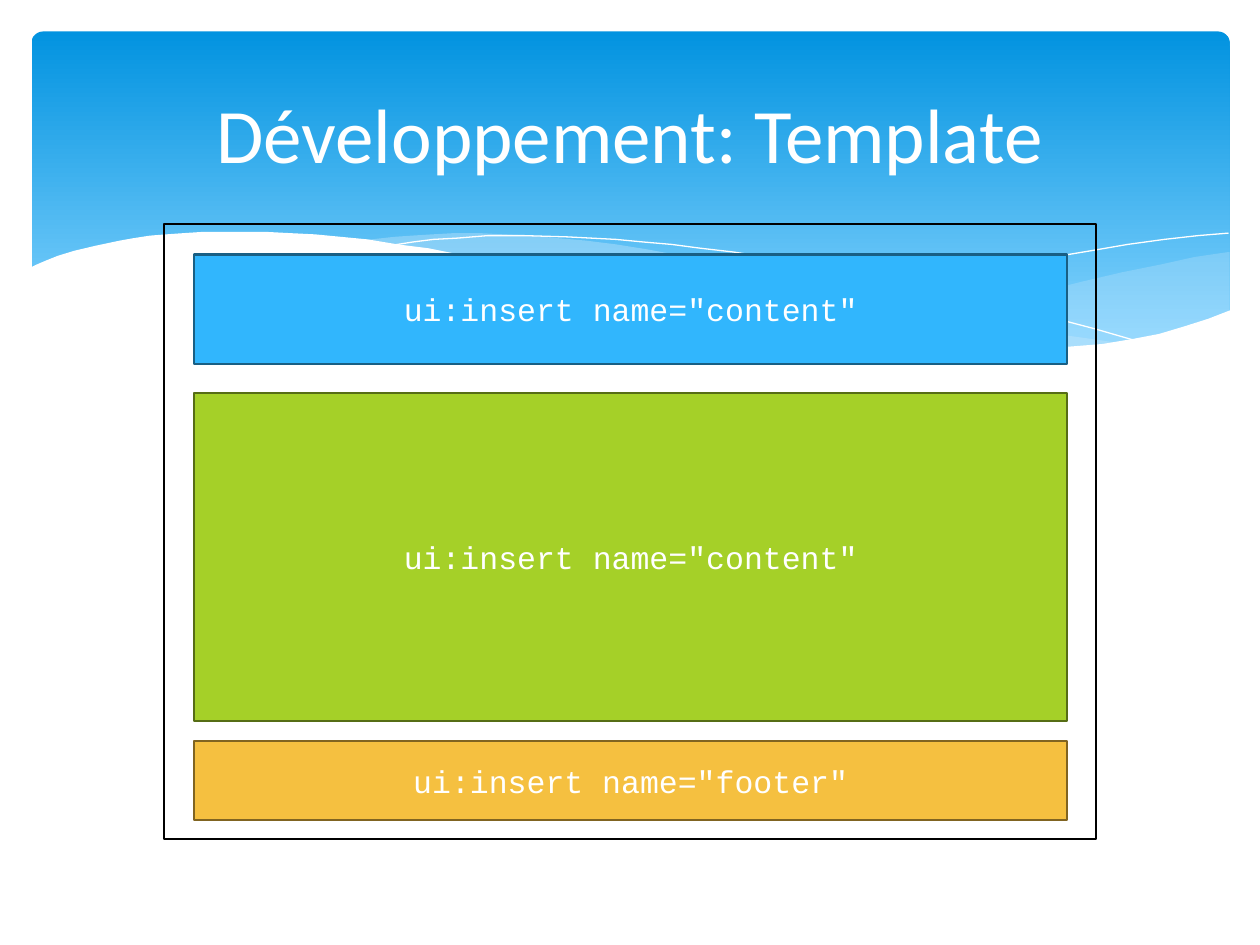
from lxml.etree import SubElement
from pptx import Presentation
from pptx.dml.color import RGBColor
from pptx.enum.shapes import MSO_SHAPE as Shape
from pptx.enum.text import MSO_ANCHOR as Anchor, PP_ALIGN as Align
from pptx.oxml.ns import qn
from pptx.util import Emu, Pt

SCALE = 9144
WHITE = RGBColor(0xFF, 0xFF, 0xFF)
BLACK = RGBColor(0x00, 0x00, 0x00)
SKY_TOP = RGBColor(0x02, 0x93, 0xE0)
SKY_BOTTOM = RGBColor(0x83, 0xD3, 0xFE)
MIST = RGBColor(0xC6, 0xE7, 0xFC)
BLUE = RGBColor(0x31, 0xB6, 0xFD)
BLUE_EDGE = RGBColor(0x19, 0x5F, 0x84)
GREEN = RGBColor(0xA5, 0xD0, 0x28)
GREEN_EDGE = RGBColor(0x56, 0x6D, 0x15)
AMBER = RGBColor(0xF5, 0xC0, 0x40)
AMBER_EDGE = RGBColor(0x80, 0x64, 0x21)

RIGHT_SWELL = [
    (975, 200), (948, 204), (921, 210), (891, 216), (861, 223), (805, 237),
    (753, 248), (706, 257), (661, 265), (691, 269), (719, 272), (745, 275),
    (769, 277), (803, 278), (835, 277), (863, 275), (889, 272), (913, 267),
    (935, 262), (949, 257), (963, 252), (976, 247), (976, 200),
]
CENTRE_SWELL = [
    (893, 273), (866, 269), (837, 265), (807, 260), (775, 254), (741, 247),
    (706, 240), (668, 231), (629, 222), (598, 214), (569, 208), (541, 203),
    (514, 198), (489, 194), (465, 191), (442, 189), (420, 187), (399, 186),
    (380, 185), (361, 185), (344, 186), (328, 187), (313, 188), (286, 191),
    (323, 196), (362, 203), (404, 211), (449, 222), (491, 232), (530, 240),
    (566, 248), (601, 255), (634, 261), (665, 266), (695, 270), (722, 274),
    (748, 276), (773, 277), (796, 278), (828, 278), (857, 277), (876, 275),
]
FALLING_LINE = [
    (309, 195), (328, 192), (344, 190), (363, 189), (387, 187), (416, 187),
    (450, 188), (489, 190), (510, 192), (533, 194), (556, 197), (582, 200),
    (608, 204), (636, 208), (665, 213), (695, 219), (727, 226), (760, 233),
    (795, 241), (831, 251), (869, 261), (907, 272),
]
RISING_LINE = [
    (613, 257), (653, 246), (695, 235), (748, 223), (776, 216), (806, 210),
    (836, 204), (866, 199), (895, 194), (924, 190), (951, 187), (975, 185),
]
WHITE_WAVE = [
    (977, 246), (959, 253), (940, 259), (920, 265), (899, 269), (875, 273),
    (850, 275), (823, 277), (809, 277), (778, 276), (744, 274), (708, 270),
    (668, 265), (626, 258), (579, 250), (529, 239), (475, 227), (418, 213),
    (391, 207), (365, 202), (340, 197), (316, 194), (292, 190), (271, 188),
    (250, 186), (230, 185), (211, 184), (177, 184), (161, 184), (146, 185),
    (132, 186), (119, 187), (106, 189), (95, 191), (76, 195), (59, 199),
    (46, 203), (36, 207), (29, 210), (23, 213), (23, 329), (977, 329),
]


class Sheet:
    title_font = {"name": "Calibri", "size": Pt(44), "bold": False}
    code_font = {"name": "Courier New", "size": Pt(18)}
    edge_width = Pt(1.25)

    def __init__(self, deck):
        self.page = deck.slides.add_slide(deck.slide_layouts[5])

    def label(self, shape, text, font):
        frame = shape.text_frame
        frame.word_wrap = True
        frame.vertical_anchor = Anchor.MIDDLE
        para = frame.paragraphs[0]
        para.alignment = Align.CENTER
        span = para.add_run()
        span.text = text
        for key, value in font.items():
            setattr(span.font, key, value)
        span.font.color.rgb = WHITE

    def paint(self, shape, fill=None, line=None, width=edge_width, opacity=None):
        shape.shadow.inherit = False
        if fill is None:
            shape.fill.background()
        else:
            shape.fill.solid()
            shape.fill.fore_color.rgb = fill
        if opacity is not None:
            colour = shape.element.spPr.find(".//" + qn("a:srgbClr"))
            SubElement(colour, qn("a:alpha")).set("val", str(opacity * 1000))
        if line is None:
            shape.line.fill.background()
        else:
            shape.line.color.rgb = line
            shape.line.width = width

    def shape(self, kind, bounds):
        return self.page.shapes.add_shape(kind, *(Emu(n * SCALE) for n in bounds))

    def box(self, bounds, fill, line, text=None):
        box = self.shape(Shape.RECTANGLE, bounds)
        self.paint(box, fill, line)
        if text:
            self.label(box, text, self.code_font)

    def banner(self, bounds):
        banner = self.shape(Shape.ROUNDED_RECTANGLE, bounds)
        banner.adjustments[0] = 0.034
        self.paint(banner)
        banner.fill.gradient()
        banner.fill.gradient_angle = 270
        stops = ((0, SKY_TOP), (0.9, SKY_BOTTOM))
        for stop, (position, colour) in zip(banner.fill.gradient_stops, stops):
            stop.position = position
            stop.color.rgb = colour

    def wave(self, points, closed=True, **style):
        builder = self.page.shapes.build_freeform(*points[0], scale=SCALE)
        builder.add_line_segments(points[1:], close=closed)
        self.paint(builder.convert_to_shape(), **style)

    def title(self, bounds, text):
        title = self.page.shapes.title
        for side, length in zip(("left", "top", "width", "height"), bounds):
            setattr(title, side, Emu(length * SCALE))
        self.label(title, text, self.title_font)
        self.page.shapes.element.append(title.element)


def main():
    deck = Presentation()
    deck.slide_width = Emu(1000 * SCALE)
    deck.slide_height = Emu(750 * SCALE)
    sheet = Sheet(deck)

    sheet.banner((25, 25, 951, 270))
    sheet.wave(RIGHT_SWELL, fill=MIST, opacity=29)
    sheet.wave(CENTRE_SWELL, fill=MIST, opacity=40)
    for curve in (FALLING_LINE, RISING_LINE):
        sheet.wave(curve, closed=False, line=WHITE, width=Emu(0))
    sheet.wave(WHITE_WAVE, fill=WHITE)
    sheet.title((50, 37, 900, 137), "Développement: Template")

    sheet.box((130, 178, 740, 488), None, BLACK)
    regions = (
        (202, 87, BLUE, BLUE_EDGE, "content"),
        (312, 260, GREEN, GREEN_EDGE, "content"),
        (588, 63, AMBER, AMBER_EDGE, "footer"),
    )
    for top, height, fill, line, name in regions:
        sheet.box((154, top, 693, height), fill, line, f'ui:insert name="{name}"')

    deck.save("out.pptx")


if __name__ == "__main__":
    main()
